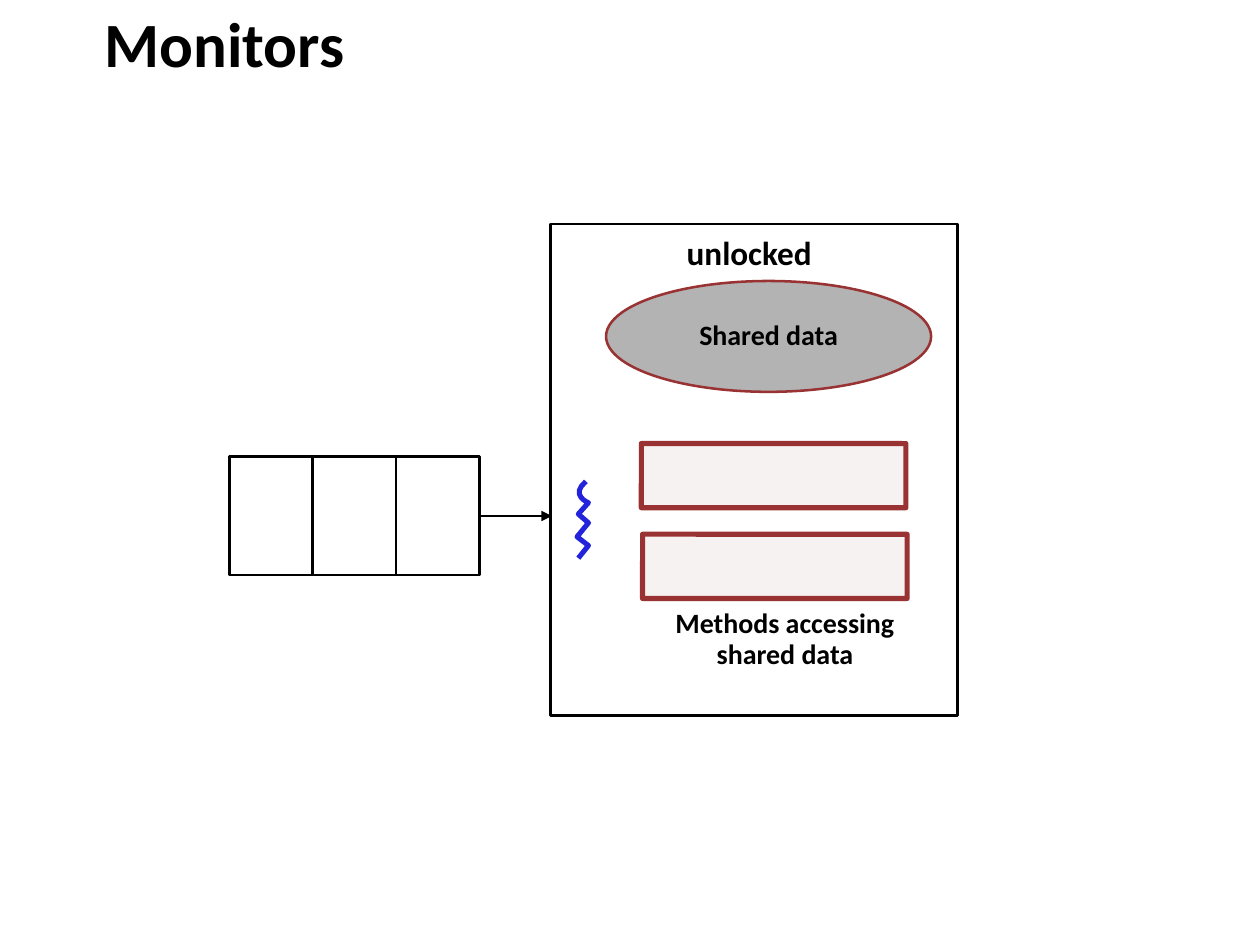
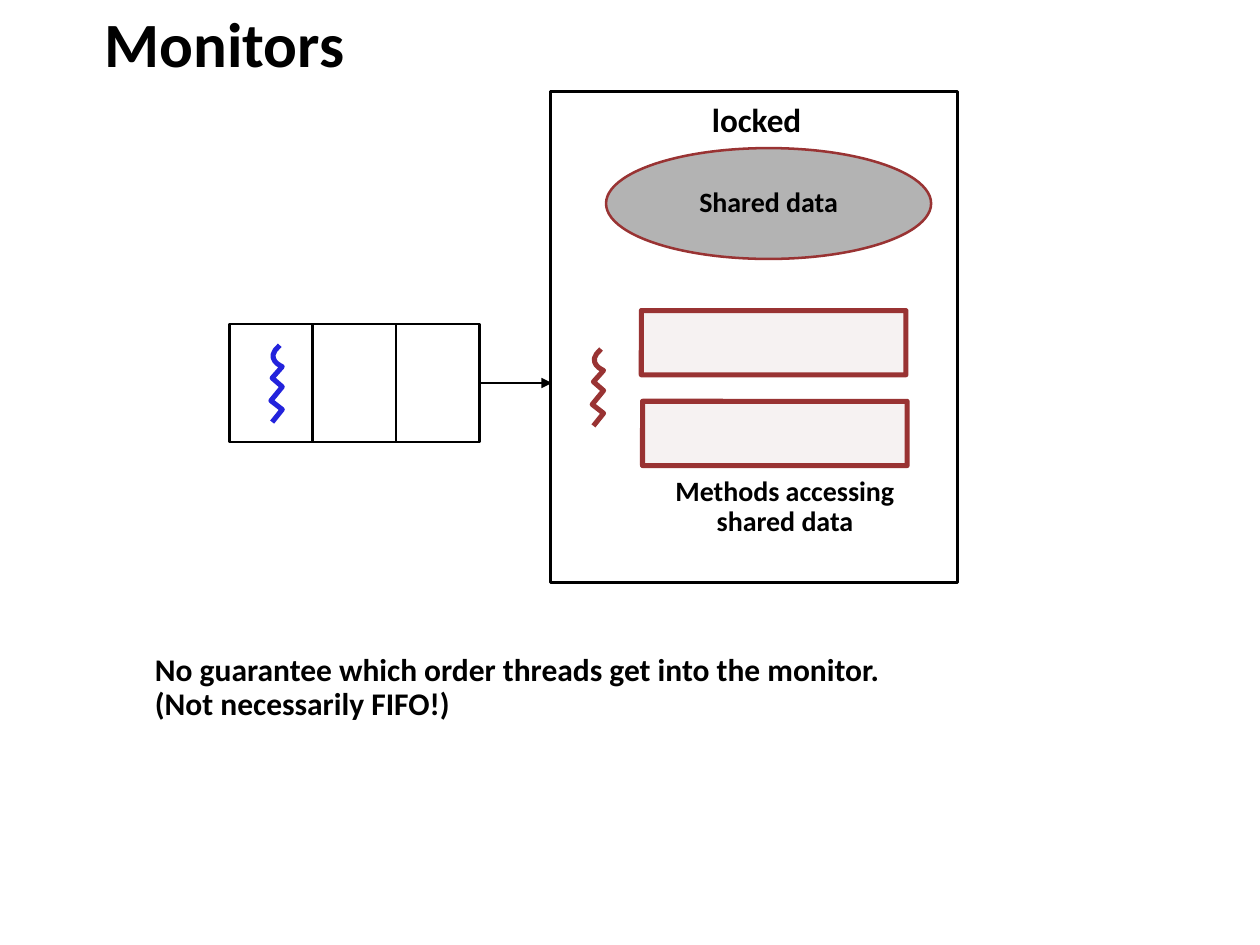
"""Build two slides showing a monitor with its queue, unlocked and locked."""
from lxml.etree import SubElement
from pptx import Presentation
from pptx.dml.color import RGBColor
from pptx.enum.shapes import MSO_CONNECTOR, MSO_SHAPE
from pptx.enum.text import MSO_ANCHOR, MSO_AUTO_SIZE, PP_ALIGN
from pptx.oxml.ns import qn
from pptx.util import Inches, Pt

HUES = {"ink": "000000", "red": "993333", "blue": "2323DC", "gray": "B3B3B3", "pale": "F6F2F2"}
THIN, THICK = 1.45, 2.89
LEFT, MID = PP_ALIGN.LEFT, PP_ALIGN.CENTER

deck = Presentation()
deck.slide_width, deck.slide_height = Inches(10), Inches(7.5)
UNIT = deck.slide_width / 100

FRAME = {"word_wrap": False, "auto_size": MSO_AUTO_SIZE.NONE, "vertical_anchor": MSO_ANCHOR.TOP,
         "margin_left": Inches(0.09), "margin_right": Inches(0.09),
         "margin_top": Inches(0.04), "margin_bottom": Inches(0.04)}
TITLE = {"word_wrap": True, "vertical_anchor": MSO_ANCHOR.MIDDLE, "margin_left": Inches(0.1)}
INNER = {"word_wrap": True, "vertical_anchor": MSO_ANCHOR.MIDDLE,
         **dict.fromkeys(("margin_left", "margin_right", "margin_top", "margin_bottom"), Inches(0.01))}


def paint(shape, fill, line, width):
    """Set the fill and outline of a shape."""
    shape.shadow.inherit = False
    if fill:
        shape.fill.solid()
        shape.fill.fore_color.rgb = RGBColor.from_string(HUES[fill])
    else:
        shape.fill.background()
    shape.line.color.rgb = RGBColor.from_string(HUES[line])
    shape.line.width = Pt(width)


def write(frame, text, size, align=LEFT, space=0.9, look={}):
    """Fill a text frame with bold lines."""
    for key, val in {**FRAME, **look}.items():
        setattr(frame, key, val)
    frame.text = text
    for para in frame.paragraphs:
        para.alignment, para.line_spacing = align, space
        font = para.runs[0].font
        for key, val in {"name": "Calibri", "size": Pt(size), "bold": True}.items():
            setattr(font, key, val)
        font.color.rgb = RGBColor.from_string(HUES["ink"])


steps = [(i / 8, 1 - i / 8) for i in range(1, 9)]
curve = [(130 * u**3 + 150 * (3 * u * t**2 + t**3),
          330 * u**2 * t + 170 * (3 * u * t**2 + t**3)) for t, u in steps]
zigzag = curve + [(70, 260), (150, 330), (60, 440), (150, 510), (70, 610)]

slides = [
    {"top": 17.8, "state": "unlocked", "col": 53.6, "wide": 15.1,
     "threads": [(45.2, 38.2, "blue")], "note": None},
    {"top": 7.25, "state": "locked", "col": 55.6, "wide": 11.8,
     "threads": [(46.4, 27.7, "red"), (20.9, 27.4, "blue")],
     "note": "No guarantee which order threads get into the monitor.\n(Not necessarily FIFO!)"},
]

for data in slides:
    slide = deck.slides.add_slide(deck.slide_layouts[5])
    shapes, top = slide.shapes, data["top"]
    title = shapes.title
    for key, val in {"left": 7.3, "top": 1, "width": 85.4, "height": 4.7}.items():
        setattr(title, key, int(val * UNIT))
    write(title.text_frame, "Monitors", 36, space=1, look=TITLE)

    parts = {}
    for name, kind, x, y, w, h, fill, line, width in [
        ("data", MSO_SHAPE.OVAL, 48.1, 4.5, 25.8, 8.8, "gray", "red", THIN),
        ("upper", MSO_SHAPE.ROUNDED_RECTANGLE, 50.9, 17.4, 21, 5.1, "pale", "red", THICK),
        ("lower", MSO_SHAPE.ROUNDED_RECTANGLE, 51, 24.6, 21, 5.1, "pale", "red", THICK),
        ("box", MSO_SHAPE.RECTANGLE, 43.7, 0, 32.3, 39, None, "ink", THIN),
        *[(f"cell{i}", MSO_SHAPE.RECTANGLE, 18.2 + 6.62 * i, 18.45, 6.62, 9.4, None, "ink", THIN)
          for i in range(3)],
    ]:
        spot = [int(v * UNIT) for v in (x, top + y, w, h)]
        part = parts[name] = shapes.add_shape(kind, *spot)
        paint(part, fill, line, width)
        if kind == MSO_SHAPE.ROUNDED_RECTANGLE:
            part.adjustments[0] = 0.003
    write(parts["data"].text_frame, "Shared data", 16, MID, look=INNER)

    last = parts["cell2"]
    mid = last.top + last.height // 2
    arrow = shapes.add_connector(MSO_CONNECTOR.STRAIGHT, last.left + last.width, mid,
                                 int(43.8 * UNIT), mid)
    arrow.begin_connect(last, 3)
    arrow.line.color.rgb = RGBColor.from_string(HUES["ink"])
    arrow.line.width = Pt(THIN)
    SubElement(arrow.line._get_or_add_ln(), qn("a:tailEnd"), type="triangle")
    SubElement(arrow._element.spPr, qn("a:effectLst"))

    labels = [("Methods accessing\nshared data", 51.7, top + 30.2, 21.2, 6, 16, MID),
              (data["state"], data["col"], top + 0.6, data["wide"], 3.7, 19, LEFT)]
    if data["note"]:
        labels.append((data["note"], 11.4, 51.5, 47.4, 6.6, 18, LEFT))
    for text, x, y, w, h, size, align in labels:
        label = shapes.add_textbox(*[int(v * UNIT) for v in (x, y, w, h)])
        write(label.text_frame, text, size, align)

    for x, y, hue in data["threads"]:
        pen = shapes.build_freeform(130, 0, scale=UNIT / 100)
        pen.add_line_segments(zigzag, close=False)
        paint(pen.convert_to_shape(int(x * UNIT), int(y * UNIT)), None, hue, THICK)

deck.save("out.pptx")
